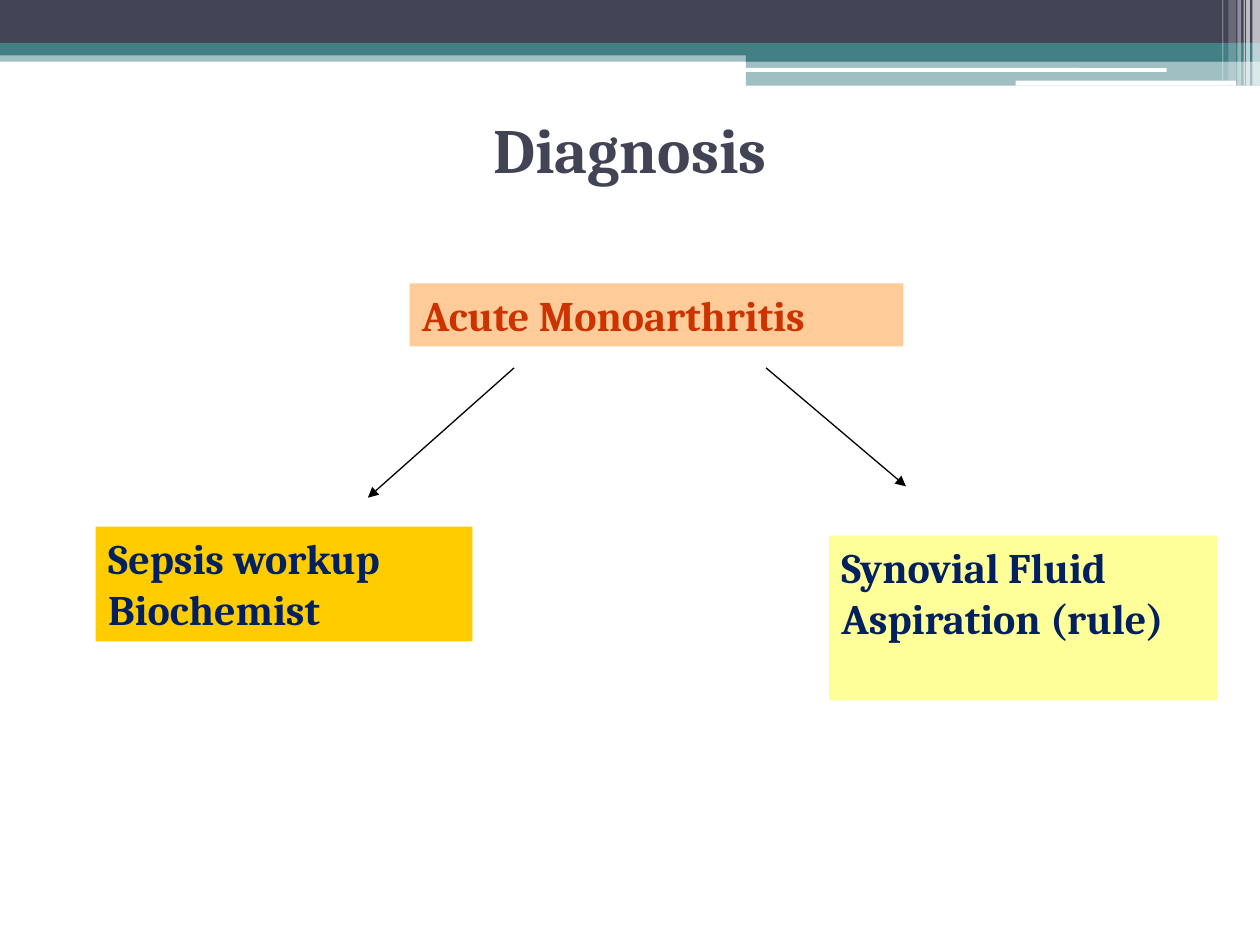
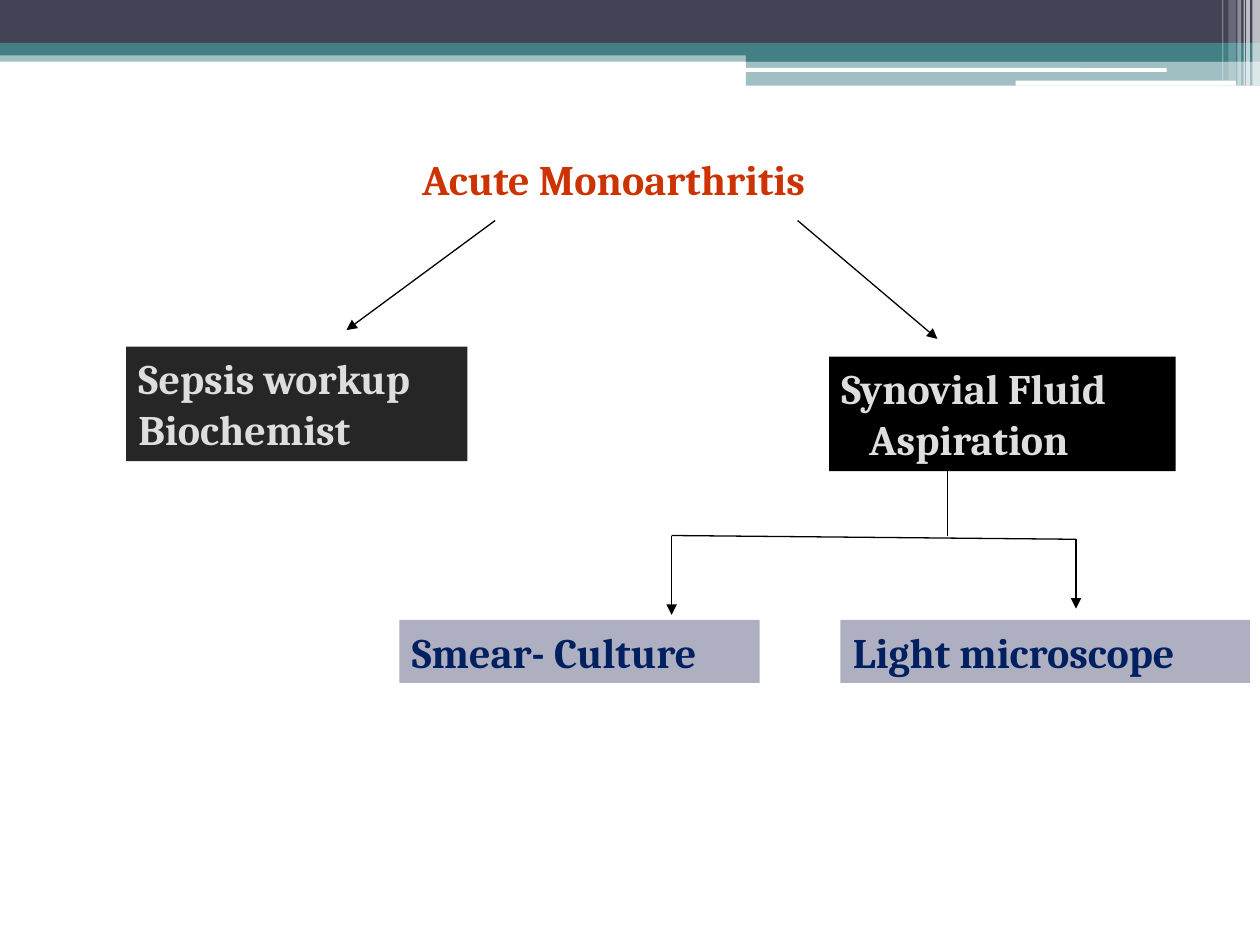
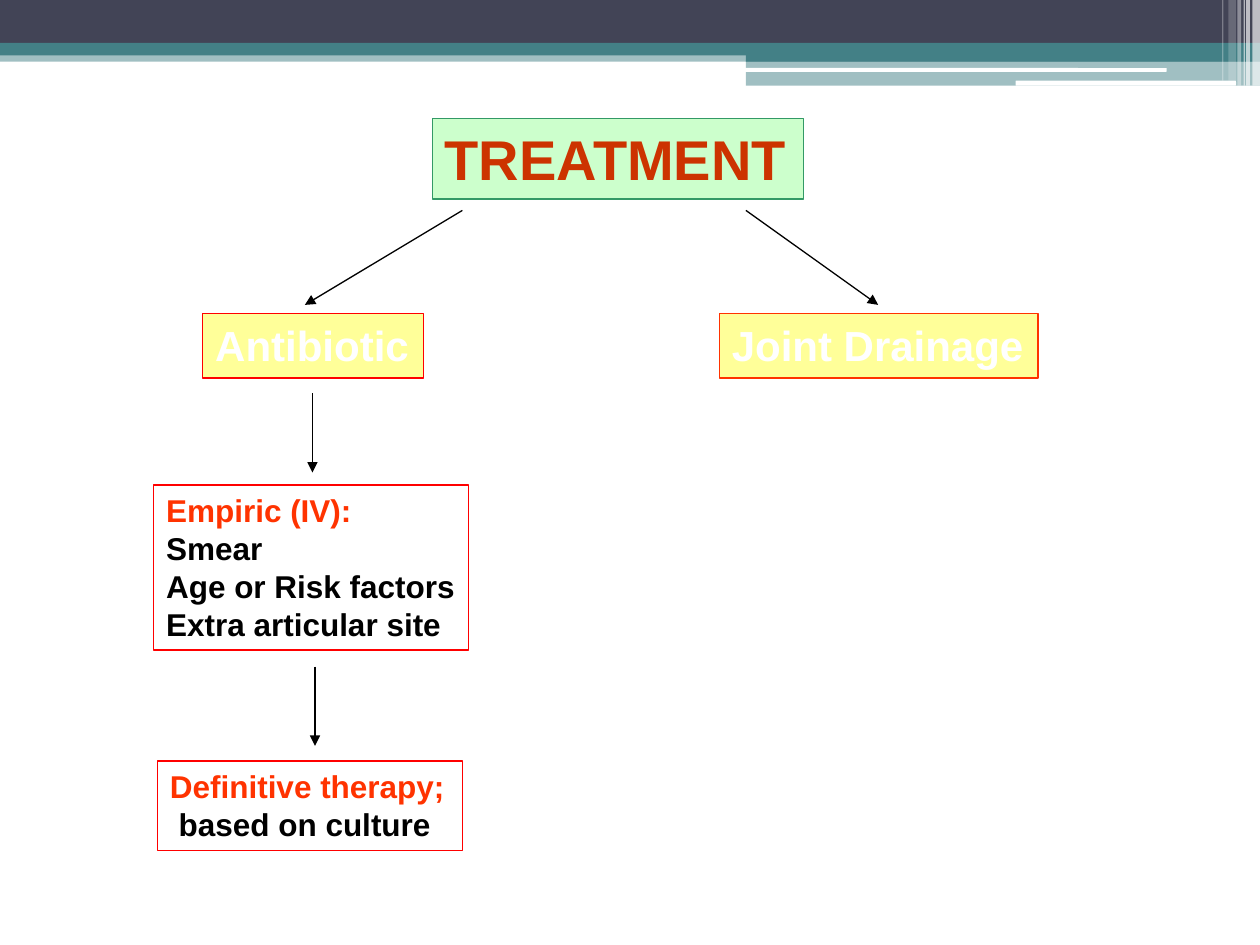
from pptx import Presentation
from pptx.dml.color import RGBColor
from pptx.enum.shapes import MSO_CONNECTOR, MSO_SHAPE
from pptx.enum.text import MSO_ANCHOR, MSO_AUTO_SIZE, PP_ALIGN
from pptx.oxml.ns import qn
from pptx.util import Inches, Pt
from lxml.etree import SubElement

INK, TEAL, WHITE, BLACK = "424456", "438086", "FFFFFF", "000000"
RUST, NAVY, PALE, RED, FLAME = "CC3300", "002060", "DEDEDE", "FF0000", "FF3300"
LEMON, MIST = "FFFF99", "AEB0C1"
THIN = 0.75

BANDS = [
    (0, 0.4, 10, 0.09, TEAL, 50),
    (0, 0, 10, 0.34, INK, 100),
    (0, 0.34, 10, 0.1, TEAL, 100),
    (5.92, 0.39, 4.08, 0.1, TEAL, 100),
    (5.92, 0.48, 4.08, 0.2, TEAL, 50),
    (5.91, 0.54, 3.35, 0.03, WHITE, 100),
    (8.06, 0.64, 1.75, 0.04, WHITE, 100),
    (9.94, 0, 0.06, 0.68, WHITE, 65),
    (9.89, 0, 0.03, 0.68, WHITE, 65),
    (9.87, 0, 0.01, 0.68, WHITE, 60),
    (9.82, 0, 0.03, 0.68, WHITE, 40),
    (9.75, 0, 0.06, 0.64, WHITE, 20),
    (9.7, 0, 0.01, 0.64, WHITE, 30),
]

SERIF = dict(font="Cambria", size=24, tone=NAVY)
SANS = dict(font="Arial", size=24, tone=WHITE, edge=RED)
NOTE = SANS | dict(size=18, tone=FLAME, rest=BLACK)

SLIDES = [
    dict(
        title=SERIF | dict(at=(3.5, 0.83, 3, 0.71), lines=["Diagnosis"],
                           size=36, tone=INK, align=PP_ALIGN.CENTER),
        boxes=[
            SERIF | dict(at=(3.25, 2.25, 3.92, 0.5), fill="FFCC99", tone=RUST,
                         lines=["Acute Monoarthritis"]),
            SERIF | dict(at=(0.76, 4.18, 2.99, 0.91), fill="FFCC00",
                         lines=["Sepsis workup", "Biochemist"]),
            SERIF | dict(at=(6.58, 4.25, 3.08, 1.31), fill=LEMON,
                         lines=["Synovial Fluid", "Aspiration (rule)"]),
        ],
        arrows=[(4.08, 2.92, 2.92, 3.95), (6.08, 2.92, 7.19, 3.86)],
        rules=[],
    ),
    dict(
        title=SERIF | dict(at=(3.25, 1.17, 4.03, 0.5), fill=WHITE, tone=RUST,
                           lines=["Acute Monoarthritis"]),
        boxes=[
            SERIF | dict(at=(6.58, 2.83, 2.75, 0.91), fill=BLACK, tone=PALE,
                         lines=["Synovial Fluid", "Aspiration"], pad=0.22),
            SERIF | dict(at=(6.67, 4.92, 3.25, 0.5), fill=MIST,
                         lines=["Light microscope"]),
            SERIF | dict(at=(3.17, 4.92, 2.86, 0.5), fill=MIST,
                         lines=["Smear- Culture"]),
            SERIF | dict(at=(1, 2.75, 2.71, 0.91), fill="262626", tone=PALE,
                         lines=["Sepsis workup", "Biochemist"]),
        ],
        arrows=[(3.93, 1.75, 2.75, 2.62), (6.33, 1.75, 7.44, 2.69),
                (5.33, 4.25, 5.33, 4.88), (8.54, 4.28, 8.54, 4.83)],
        rules=[(7.52, 3.7, 7.52, 4.25), (5.33, 4.25, 8.54, 4.28)],
    ),
    dict(
        title=SANS | dict(at=(3.43, 0.94, 2.95, 0.64), fill="CCFFCC", size=32,
                          tone=RUST, edge="339966", lines=["TREATMENT"]),
        boxes=[
            SANS | dict(at=(1.61, 2.49, 1.75, 0.51), fill=LEMON,
                        lines=["Antibiotic"]),
            SANS | dict(at=(5.71, 2.49, 2.53, 0.51), fill=LEMON, edge=FLAME,
                        lines=["Joint Drainage"]),
            NOTE | dict(at=(1.22, 3.85, 2.5, 1.31),
                        lines=["Empiric (IV):", "Smear", "Age or Risk factors",
                               "Extra articular site"]),
            NOTE | dict(at=(1.25, 6.04, 2.42, 0.71), pad=0.07,
                        lines=["Definitive therapy;", "based on culture"]),
        ],
        arrows=[(3.67, 1.67, 2.42, 2.42), (5.92, 1.67, 6.97, 2.42),
                (2.48, 3.12, 2.48, 3.75), (2.5, 5.29, 2.5, 5.92)],
        rules=[],
    ),
]


def tint(code):
    return RGBColor.from_string(code)


def apply(item, **form):
    for name, value in form.items():
        setattr(item, name, value)


def paint(shape, fill=None, edge=None):
    if fill:
        shape.fill.solid()
        shape.fill.fore_color.rgb = tint(fill)
    else:
        shape.fill.background()
    if edge:
        shape.line.color.rgb = tint(edge)
        shape.line.width = Pt(THIN)
    else:
        shape.line.fill.background()


def add_rect(slide, at, kind=MSO_SHAPE.RECTANGLE):
    shape = slide.shapes.add_shape(kind, *map(Inches, at))
    shape.shadow.inherit = False
    return shape


def write(shape, box):
    align = box.get("align", PP_ALIGN.LEFT)
    side = Inches(0.1)
    frame = shape.text_frame
    frame.text = "\n".join(box["lines"])
    apply(frame, word_wrap=True, auto_size=MSO_AUTO_SIZE.NONE,
          vertical_anchor=MSO_ANCHOR.TOP, margin_left=side,
          margin_right=side if align == PP_ALIGN.CENTER else 0,
          margin_top=Inches(0.05), margin_bottom=Inches(0.05))
    for n, par in enumerate(frame.paragraphs):
        par.alignment = align
        if n and "pad" in box:
            par._p.get_or_add_pPr().set("marL", str(Inches(box["pad"])))
        for run in par.runs:
            apply(run.font, name=box["font"], size=Pt(box["size"]), bold=True)
            tone = box.get("rest", box["tone"]) if n else box["tone"]
            run.font.color.rgb = tint(tone)


def fill_box(shape, box):
    paint(shape, box.get("fill"), box.get("edge"))
    write(shape, box)


def add_line(slide, ends, head):
    line = slide.shapes.add_connector(MSO_CONNECTOR.STRAIGHT, *map(Inches, ends))
    line.line.color.rgb = tint(BLACK)
    line.line.width = Pt(THIN)
    if head:
        SubElement(line.line._get_or_add_ln(), qn("a:tailEnd"), type="triangle")
    SubElement(line._element.spPr, qn("a:effectLst"))


def add_bands(deck, slide):
    tree = deck.slide_master.shapes._spTree
    for n, (*at, code, alpha) in enumerate(BANDS):
        thin = code == WHITE and alpha == 100
        kind = MSO_SHAPE.ROUNDED_RECTANGLE if thin else MSO_SHAPE.RECTANGLE
        band = add_rect(slide, at, kind)
        paint(band, code)
        if alpha < 100:
            hue = band._element.spPr.find(".//" + qn("a:srgbClr"))
            SubElement(hue, qn("a:alpha"), val=str(alpha * 1000))
        band._element.nvSpPr.cNvPr.set("id", str(100 + n))
        tree.insert(2 + n, band._element)


def main():
    deck = Presentation()
    apply(deck, slide_width=Inches(10), slide_height=Inches(7.5))
    for data in SLIDES:
        slide = deck.slides.add_slide(deck.slide_layouts[5])
        title = slide.shapes.title
        spots = ("left", "top", "width", "height")
        apply(title, **dict(zip(spots, map(Inches, data["title"]["at"]))))
        fill_box(title, data["title"])
        for box in data["boxes"]:
            fill_box(add_rect(slide, box["at"]), box)
        for kind in ("arrows", "rules"):
            for ends in data[kind]:
                add_line(slide, ends, kind == "arrows")
    add_bands(deck, deck.slides[0])
    deck.save("out.pptx")


if __name__ == "__main__":
    main()
